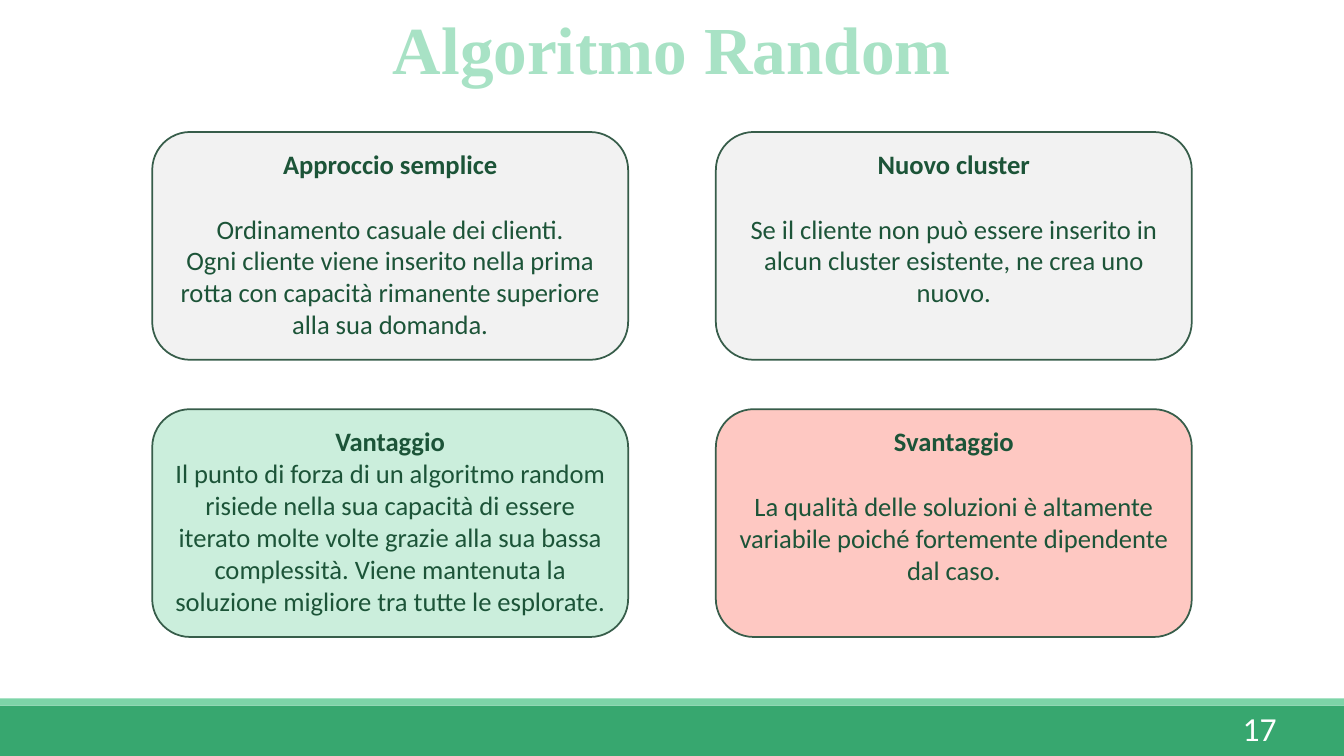
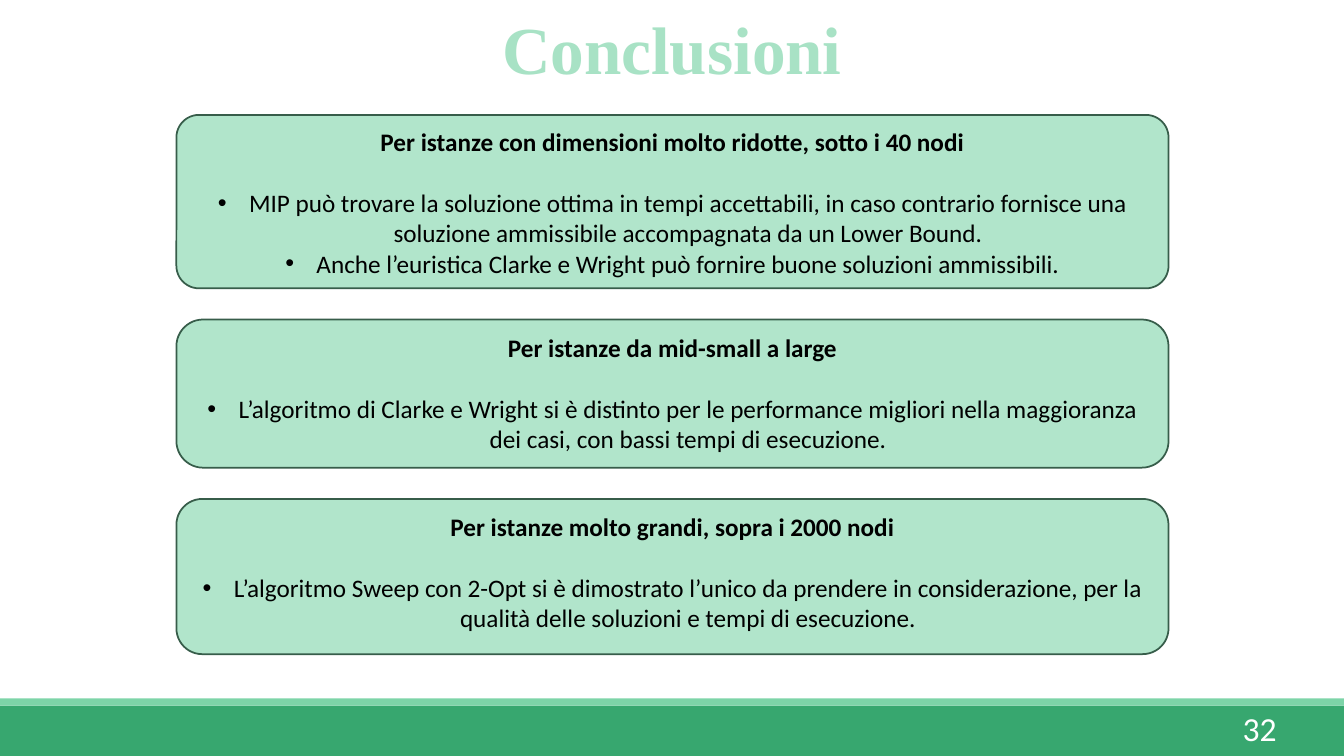
from dataclasses import dataclass

from lxml.etree import SubElement
from pptx import Presentation
from pptx.dml.color import RGBColor
from pptx.enum.dml import MSO_PATTERN
from pptx.enum.shapes import MSO_SHAPE
from pptx.enum.text import MSO_ANCHOR, MSO_AUTO_SIZE, PP_ALIGN
from pptx.oxml import parse_xml
from pptx.oxml.ns import nsdecls, qn
from pptx.util import Inches, Pt

GREEN = RGBColor(0x37, 0xA7, 0x6F)
LIGHT_GREEN = RGBColor(0x7D, 0xD4, 0xA8)
TITLE_GREEN = RGBColor(0xA8, 0xE2, 0xC5)
DARK_GREEN = RGBColor(0x1C, 0x54, 0x38)
BORDER = RGBColor(0x37, 0x5D, 0x4A)
GREY = RGBColor(0xF2, 0xF2, 0xF2)
MINT = RGBColor(0xCB, 0xEE, 0xDC)
PINK = RGBColor(0xFE, 0xC8, 0xC2)
SAGE = RGBColor(0xB1, 0xE5, 0xCB)
BLACK = RGBColor(0, 0, 0)
WHITE = RGBColor(0xFF, 0xFF, 0xFF)

BODY_FONT = "Calibri"
TITLE_FONT = "Times New Roman"
LINE_HEIGHT = 1.22
PAGE_WIDTH = 13.33
BULLET_INDENT = 0.31


@dataclass(frozen=True)
class Frame:
    """Position and size in inches."""

    left: float
    top: float
    width: float
    height: float

    def lengths(self) -> tuple:
        """Return the four values as lengths."""
        return tuple(map(Inches, (self.left, self.top, self.width, self.height)))


@dataclass(frozen=True)
class Card:
    """Heading and text of one rounded box."""

    heading: str
    lines: tuple[str, ...]
    fill: RGBColor
    spaced: bool = True
    height: float = 2.26
    corner: float = 0.1667


@dataclass(frozen=True)
class CardStyle:
    """Text format shared by the cards of a slide."""

    size: float
    color: RGBColor
    bulleted: bool = False


RANDOM_CARDS = (
    Card("Approccio semplice",
         ("Ordinamento casuale dei clienti.",
          "Ogni cliente viene inserito nella prima rotta con capacità rimanente superiore alla sua domanda."),
         GREY),
    Card("Nuovo cluster",
         ("Se il cliente non può essere inserito in alcun cluster esistente, ne crea uno nuovo.",),
         GREY),
    Card("Vantaggio",
         ("Il punto di forza di un algoritmo random risiede nella sua capacità di essere iterato molte volte "
          "grazie alla sua bassa complessità. Viene mantenuta la soluzione migliore tra tutte le esplorate.",),
         MINT, spaced=False),
    Card("Svantaggio",
         ("La qualità delle soluzioni è altamente variabile poiché fortemente dipendente dal caso.",),
         PINK),
)

CONCLUSION_CARDS = (
    Card("Per istanze con dimensioni molto ridotte, sotto i 40 nodi",
         ("MIP può trovare la soluzione ottima in tempi accettabili, in caso contrario fornisce una soluzione "
          "ammissibile accompagnata da un Lower Bound.",
          "Anche l’euristica Clarke e Wright può fornire buone soluzioni ammissibili."),
         SAGE, height=1.72, corner=0.13),
    Card("Per istanze da mid-small a large",
         ("L’algoritmo di Clarke e Wright si è distinto per le performance migliori nella maggioranza dei casi, "
          "con bassi tempi di esecuzione.",),
         SAGE, height=1.47, corner=0.18),
    Card("Per istanze molto grandi, sopra i 2000 nodi",
         ("L’algoritmo Sweep con 2-Opt si è dimostrato l’unico da prendere in considerazione, per la qualità "
          "delle soluzioni e tempi di esecuzione.",),
         SAGE, height=1.54),
)


def write(para, text: str, *, size: float, color: RGBColor | None = None, bold: bool = False,
          font: str = BODY_FONT, align: PP_ALIGN = PP_ALIGN.CENTER, before: float = 0):
    """Fill a paragraph with one formatted run and return the run."""
    para.alignment = align
    para.space_before = Pt(before)
    span = para.add_run()
    span.text = text
    span.font.name = font
    span.font.size = Pt(size)
    span.font.bold = bold
    if color is not None:
        span.font.color.rgb = color
    return span


def add_bullet(para) -> None:
    """Give a paragraph a hanging round bullet."""
    properties = para._p.get_or_add_pPr()
    properties.set("marL", str(Inches(BULLET_INDENT)))
    properties.set("indent", str(-Inches(BULLET_INDENT)))
    SubElement(properties, qn("a:buFont")).set("typeface", "Arial")
    SubElement(properties, qn("a:buChar")).set("char", "•")


def add_block(page, kind: MSO_SHAPE, frame: Frame, fill: RGBColor):
    """Add a flat filled shape without a line."""
    block = page.shapes.add_shape(kind, *frame.lengths())
    block.shadow.inherit = False
    block.fill.solid()
    block.fill.fore_color.rgb = fill
    block.line.fill.background()
    return block


def add_card(page, card: Card, frame: Frame, style: CardStyle) -> None:
    """Draw a rounded box with its heading and text."""
    box = add_block(page, MSO_SHAPE.ROUNDED_RECTANGLE, frame, card.fill)
    box.adjustments[0] = card.corner
    box.line.color.rgb = BORDER
    box.line.width = Pt(1.25)
    text_frame = box.text_frame
    text_frame.word_wrap = True
    text_frame.vertical_anchor = MSO_ANCHOR.TOP
    write(text_frame.paragraphs[0], card.heading, size=style.size, color=style.color, bold=True)
    for index, line in enumerate(card.lines):
        para = text_frame.add_paragraph()
        gap = style.size * LINE_HEIGHT if card.spaced and index == 0 else 0
        write(para, line, size=style.size, color=style.color, before=gap)
        if style.bulleted:
            add_bullet(para)


def add_page(deck, title: str, number: int):
    """Add a slide with its title and page number."""
    page = deck.slides.add_slide(deck.slide_layouts[5])
    heading = page.shapes.title
    heading.left, heading.top, heading.width, heading.height = Frame(0, 0.08, PAGE_WIDTH, 0.85).lengths()
    heading.text_frame.auto_size = MSO_AUTO_SIZE.NONE
    heading.text_frame.vertical_anchor = MSO_ANCHOR.BOTTOM
    para = heading.text_frame.paragraphs[0]
    para.line_spacing = 0.85
    span = write(para, title, size=48, bold=True, font=TITLE_FONT)
    span.font.fill.patterned()
    span.font.fill.pattern = MSO_PATTERN.NARROW_HORIZONTAL
    span.font.fill.fore_color.rgb = GREEN
    span.font.fill.back_color.rgb = TITLE_GREEN
    outline = parse_xml(f'<a:ln {nsdecls("a")} w="{Pt(1)}"><a:solidFill>'
                        f'<a:srgbClr val="{DARK_GREEN}"/></a:solidFill></a:ln>')
    span._r.get_or_add_rPr().insert(0, outline)

    box = page.shapes.add_textbox(*Frame(11.33, 7.02, 1.43, 0.4).lengths())
    box.text_frame.word_wrap = True
    box.text_frame.vertical_anchor = MSO_ANCHOR.MIDDLE
    write(box.text_frame.paragraphs[0], str(number), size=24, color=WHITE, align=PP_ALIGN.RIGHT)
    return page


def move_bands_to_master(deck, page) -> None:
    """Draw the footer bands and place them on the slide master."""
    for top, height, fill in ((7, 0.5, GREEN), (6.93, 0.07, LIGHT_GREEN)):
        band = add_block(page, MSO_SHAPE.RECTANGLE, Frame(0, top, PAGE_WIDTH, height), fill)
        deck.slide_master.shapes.element.append(band.element)


def main() -> None:
    """Build and save the deck."""
    deck = Presentation()
    deck.slide_width, deck.slide_height = Inches(PAGE_WIDTH), Inches(7.5)

    page = add_page(deck, "Algoritmo Random", 17)
    move_bands_to_master(deck, page)
    style = CardStyle(19, DARK_GREEN)
    for index, card in enumerate(RANDOM_CARDS):
        row, column = divmod(index, 2)
        add_card(page, card, Frame(1.51 + column * 5.59, 1.31 + row * 2.75, 4.72, card.height), style)

    page = add_page(deck, "Conclusioni", 32)
    style = CardStyle(18, BLACK, bulleted=True)
    top = 1.14
    for card in CONCLUSION_CARDS:
        add_card(page, card, Frame(1.75, top, 9.84, card.height), style)
        top += card.height + 0.31

    deck.save("out.pptx")


if __name__ == "__main__":
    main()
